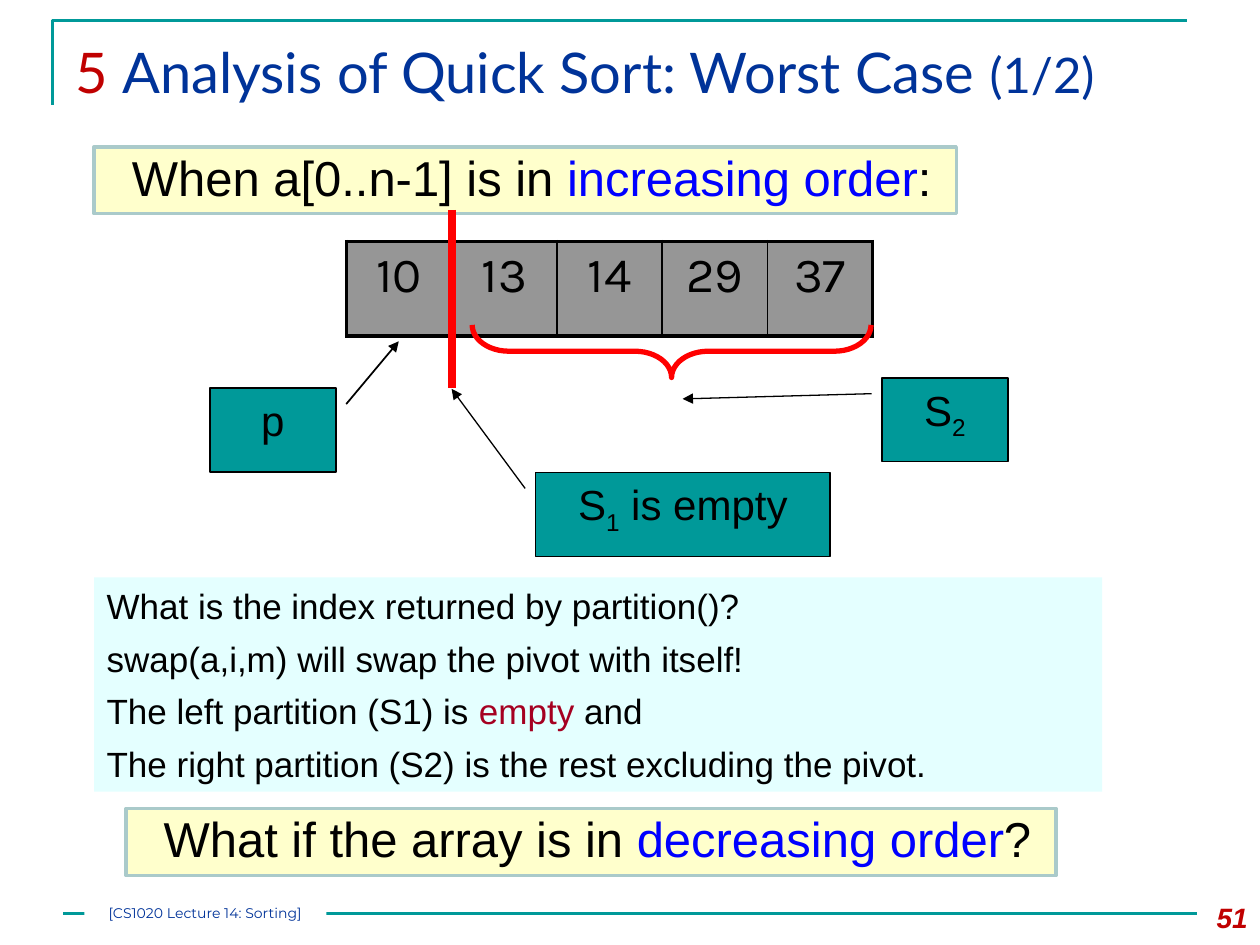
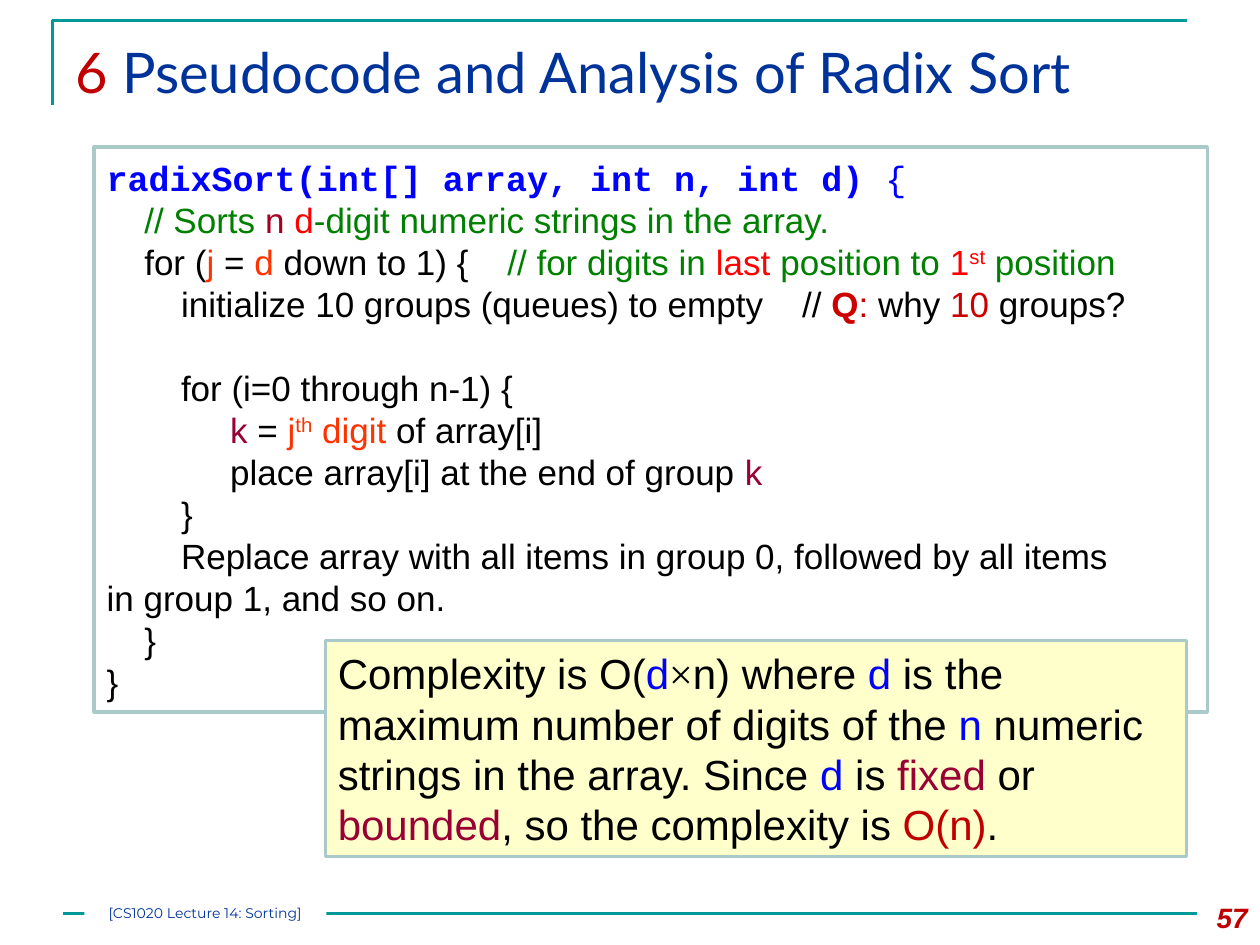
from pptx import Presentation
from pptx.util import Cm, Pt
from pptx.dml.color import RGBColor
from pptx.enum.shapes import MSO_SHAPE as Kind, MSO_CONNECTOR as Link
from pptx.enum.text import MSO_AUTO_SIZE as Fit, PP_ALIGN as Align
from pptx.oxml.ns import qn
from lxml.etree import SubElement as Sub, Element

HUES = {
    "black": "000000", "white": "FFFFFF", "teal": "009999", "navy": "003399",
    "brick": "C00000", "blue": "0000FF", "green": "008000", "red": "FF0000",
    "wine": "A50021", "plum": "990033", "flame": "FF3300", "ruby": "CC0000",
    "cream": "FFFFCC", "mist": "AACACA", "ice": "CCFFFF", "gray": "969696",
}
STOPS = (0.76, 1.5, 2.49, 8.08, 14.02)


def hue(name):
    """Return the colour with this name."""
    return RGBColor.from_string(HUES[name])


def write(para, runs, size, font="Arial"):
    """Add runs of (text, colour, extras) to a paragraph."""
    for text, tint, *more in runs:
        extra = more[0] if more else {}
        run = para.add_run()
        run.text = text
        face = run.font
        face.size = Pt(size)
        face.name = extra.get("font", font)
        face.bold = extra.get("bold", False)
        face.italic = extra.get("italic", False)
        face.color.rgb = hue(tint)
        if "base" in extra:
            run._r.get_or_add_rPr().set("baseline", str(extra["base"] * 1000))


def label(sld, box, runs, size, font="Arial", align=Align.LEFT):
    """Add a plain text box with one paragraph."""
    frame = sld.shapes.add_textbox(*map(Cm, box)).text_frame
    frame.word_wrap = True
    para = frame.paragraphs[0]
    para.alignment = align
    write(para, runs, size, font)
    return frame


def shape(sld, kind, box, fill=None, line=None, width=1):
    """Add a preset shape without shadow and return it."""
    item = sld.shapes.add_shape(kind, *map(Cm, box))
    item.shadow.inherit = False
    if fill:
        item.fill.solid()
        item.fill.fore_color.rgb = hue(fill)
    else:
        item.fill.background()
    if line:
        item.line.color.rgb = hue(line)
        item.line.width = Pt(width)
    else:
        item.line.fill.background()
    return item


def panel(sld, box, fill, rows, size, line="mist", gap=0, wrap=True):
    """Add a filled box with left-aligned paragraphs."""
    item = shape(sld, Kind.RECTANGLE, box, fill, line, 2)
    frame = item.text_frame
    frame.word_wrap = wrap
    frame.auto_size = Fit.SHAPE_TO_FIT_TEXT
    for i, runs in enumerate(rows):
        para = frame.add_paragraph() if i else frame.paragraphs[0]
        para.alignment = Align.LEFT
        if i and gap:
            para.space_before = Pt(gap)
        write(para, runs, size)
    return item


def banner(sld, box, runs):
    """Add a one-line yellow statement."""
    item = panel(sld, box, "cream", [runs], 28, wrap=False)
    para = item.text_frame.paragraphs[0]
    para.line_spacing = 0.9
    para._p.get_or_add_pPr().set("marL", str(Cm(0.51)))


def rule(sld, start, end, tint, width):
    """Draw a straight line between two points."""
    item = sld.shapes.add_connector(Link.STRAIGHT, *map(Cm, start + end))
    item.line.color.rgb = hue(tint)
    item.line.width = Pt(width)
    Sub(item._element.spPr, qn("a:effectLst"))


def base(deck, title, page):
    """Start a slide with its corner, title and footer."""
    sld = deck.slides.add_slide(deck.slide_layouts[6])
    pen = sld.shapes.build_freeform(Cm(1.06), Cm(2.11))
    pen.add_line_segments([(Cm(1.06), Cm(0.42)), (Cm(23.92), Cm(0.42))], close=False)
    bend = pen.convert_to_shape()
    bend.shadow.inherit = False
    bend.fill.background()
    bend.line.color.rgb = hue("teal")
    bend.line.width = Pt(1.5)
    rule(sld, (1.27, 18.42), (24.13, 18.42), "teal", 1.5)
    sign, text, *tail = title
    runs = [(sign + " ", "brick"), (text, "navy")]
    frame = label(sld, (1.27, 0.64, 23.5, 2.54), runs, 32, "Lato")
    write(frame.paragraphs[0], [(t, "navy") for t in tail], 28, "Lato")
    mark = [(str(page), "brick", {"bold": True, "italic": True})]
    label(sld, (23.7, 18.03, 1.7, 1.02), mark, 16, align=Align.RIGHT)
    return sld


def footer(sld, box):
    """Place the lecture name over the bottom line."""
    item = shape(sld, Kind.RECTANGLE, box, "white")
    frame = item.text_frame
    frame.margin_left = frame.margin_right = frame.margin_top = frame.margin_bottom = 0
    para = frame.paragraphs[0]
    para.alignment = Align.CENTER
    write(para, [("[CS1020 Lecture 14: Sorting]", "navy")], 8, "Montserrat")


def edge(cell, sides):
    """Set cell borders from a dict of side to width."""
    props = cell._tc.get_or_add_tcPr()
    for i, (side, width) in enumerate(sides.items()):
        line = Element(qn("a:ln" + side), w=str(Pt(width)))
        Sub(Sub(line, qn("a:solidFill")), qn("a:srgbClr"), val=HUES["black"])
        props.insert(i, line)


def cells(sld, box, items):
    """Draw the array as a one-row table."""
    table = sld.shapes.add_table(1, len(items), *map(Cm, box)).table
    table.first_row = table.horz_banding = False
    last = len(items) - 1
    for i, item in enumerate(items):
        table.columns[i].width = Cm(box[2] / len(items))
        cell = table.cell(0, i)
        cell.fill.solid()
        cell.fill.fore_color.rgb = hue("gray")
        edge(cell, {"L": 1 if i else 2.25, "R": 1 if i < last else 2.25,
                    "T": 2.25, "B": 2.25})
        para = cell.text_frame.paragraphs[0]
        para.alignment = Align.CENTER
        write(para, [(str(item), "black")], 28, "Karla")


def callout(sld, box, bends, runs, width=0.75):
    """Add a teal note with an arrow to its target."""
    item = shape(sld, Kind.LINE_CALLOUT_1, box, "teal", "black", width)
    for i, bend in enumerate(bends):
        item.adjustments[i] = bend
    Sub(item.line._get_or_add_ln(), qn("a:tailEnd"), type="triangle")
    frame = item.text_frame
    frame.word_wrap = True
    frame.vertical_anchor = 1
    para = frame.paragraphs[0]
    para.alignment = Align.CENTER
    write(para, runs, 24)


def split(sld, box):
    """Draw the array, its cut, and the notes on its parts."""
    x, y, w, h = box
    high, step = 1.69, 2.12
    left, cut = x + 2.76, x + 2.76 + step
    low = {"base": -25}
    cells(sld, (left, y + 0.64, 5 * step, 1.9), (10, 13, 14, 29, 37))
    rule(sld, (cut, y), (cut, y + 3.6), "red", 4.5)
    callout(sld, (x, y + 3.6, 2.54, high), (0.188, 1.083, -0.562, 1.5),
            [("p", "black")], 1)
    span, deep = 8.04, 1.06
    mid = x + 9.31
    brace = shape(sld, Kind.LEFT_BRACE,
                  (mid - deep / 2, y + 2.85 - span / 2, deep, span), None, "red", 3)
    brace.rotation = 270
    brace.adjustments[0] = 0.698
    callout(sld, (x + w - 2.54, y + 3.39, 2.54, high), (0.188, -0.083, 0.25, -1.583),
            [("S", "black"), ("2", "black", low)])
    callout(sld, (x + 6.57, y + h - high, 5.93, high), (0.188, -0.036, -1, -0.286),
            [("S", "black"), ("1", "black", low), (" is empty", "black")])


def notes(sld, box):
    """List what the partition does."""
    rows = [
        [("What is the index returned by partition()?", "black")],
        [("swap(a,i,m) will swap the pivot with itself!", "black")],
        [("The left partition (S1) is ", "black"), ("empty", "wine"), (" and", "black")],
        [("The right partition (S2) is the rest excluding the pivot.", "black")],
    ]
    item = panel(sld, box, "ice", rows, 20, None, 6)
    tint = item._element.spPr.find(qn("a:solidFill"))[0]
    Sub(tint, qn("a:alpha"), val="53000")


def code(sld, box):
    """Show the radix sort steps with tab stops."""
    mono, bold, up = "Courier New", {"bold": True}, {"base": 30}
    rows = [
        [("radixSort(int[] array, int n, int d) ", "blue", {"font": mono, "bold": True}),
         ("{", "blue", {"font": mono})],
        [("\t// Sorts ", "green"), ("n ", "wine"), ("d", "red"),
         ("-digit numeric strings in the array.", "green")],
        [("\tfor (", "black"), ("j ", "flame"), ("= ", "black"), ("d", "flame"),
         (" down to 1) {\t", "black"), ("// for digits in ", "green"),
         ("last ", "red"), ("position to ", "green"), ("1", "red"),
         ("st", "red", up), (" position", "green")],
        [("\t\tinitialize 10 groups (queues) to empty\t// ", "black"),
         ("Q", "ruby", bold), (":", "ruby"), (" why ", "black"), ("10", "ruby"),
         (" groups?", "black")],
        [("\t\tfor (i=0 through n-1) {", "black")],
        [("\t\t\tk ", "plum"), ("= ", "black"), ("j", "flame"), ("th", "flame", up),
         (" digit", "flame"), (" of array[i]", "black")],
        [("\t\t\tplace array[i] at the end of group ", "black"), ("k", "plum")],
        [("\t\t}", "black")],
        [("\t\tReplace array with all items in group 0, followed by all items", "black")],
        [("in group 1, and so on.", "black")],
        [("\t}", "black")],
        [("}", "black")],
    ]
    paras = panel(sld, box, "white", rows, 20).text_frame.paragraphs
    paras[4].space_before = Pt(24)
    for para in paras:
        tabs = Sub(para._p.get_or_add_pPr(), qn("a:tabLst"))
        for stop in STOPS:
            Sub(tabs, qn("a:tab"), pos=str(Cm(stop)), algn="l")


def cost(sld, box):
    """State the complexity."""
    runs = [
        ("Complexity is O(", "black"), ("d", "blue"),
        ("×", "black", {"font": "Times New Roman"}), ("n) where ", "black"),
        ("d", "blue"), (" is the maximum number of digits of the ", "black"),
        ("n", "blue"), (" numeric strings in the array. Since ", "black"),
        ("d", "blue"), (" is ", "black"), ("fixed", "plum"), (" or ", "black"),
        ("bounded", "plum"), (", so the complexity is ", "black"),
        ("O(n)", "brick"), (".", "black"),
    ]
    panel(sld, box, "cream", [runs], 24)


def quick(deck):
    """Build the quick sort slide."""
    sld = base(deck, ("5", "Analysis of Quick Sort: Worst Case ", "(1/2)"), 51)
    banner(sld, (1.9, 2.96, 17.38, 1.35),
           [("When a[0..n-1] is in ", "black"), ("increasing order", "blue"),
            (":", "black")])
    split(sld, (4.23, 4.23, 16.09, 6.99))
    notes(sld, (1.9, 11.64, 20.32, 4.32))
    banner(sld, (2.54, 16.3, 18.75, 1.35),
           [("What if the array is in ", "black"), ("decreasing order", "blue"),
            ("?", "black")])
    return sld


def radix(deck):
    """Build the radix sort slide."""
    sld = base(deck, ("6", "Pseudocode and Analysis of Radix Sort"), 57)
    code(sld, (1.9, 2.96, 22.44, 11.39))
    cost(sld, (6.56, 12.91, 17.36, 4.36))
    return sld


def main():
    """Build and save the deck."""
    deck = Presentation()
    deck.slide_width, deck.slide_height = Cm(25.4), Cm(19.05)
    for make in (quick, radix):
        footer(make(deck), (1.7, 18.2, 4.88, 0.42))
    deck.save("out.pptx")


if __name__ == "__main__":
    main()
